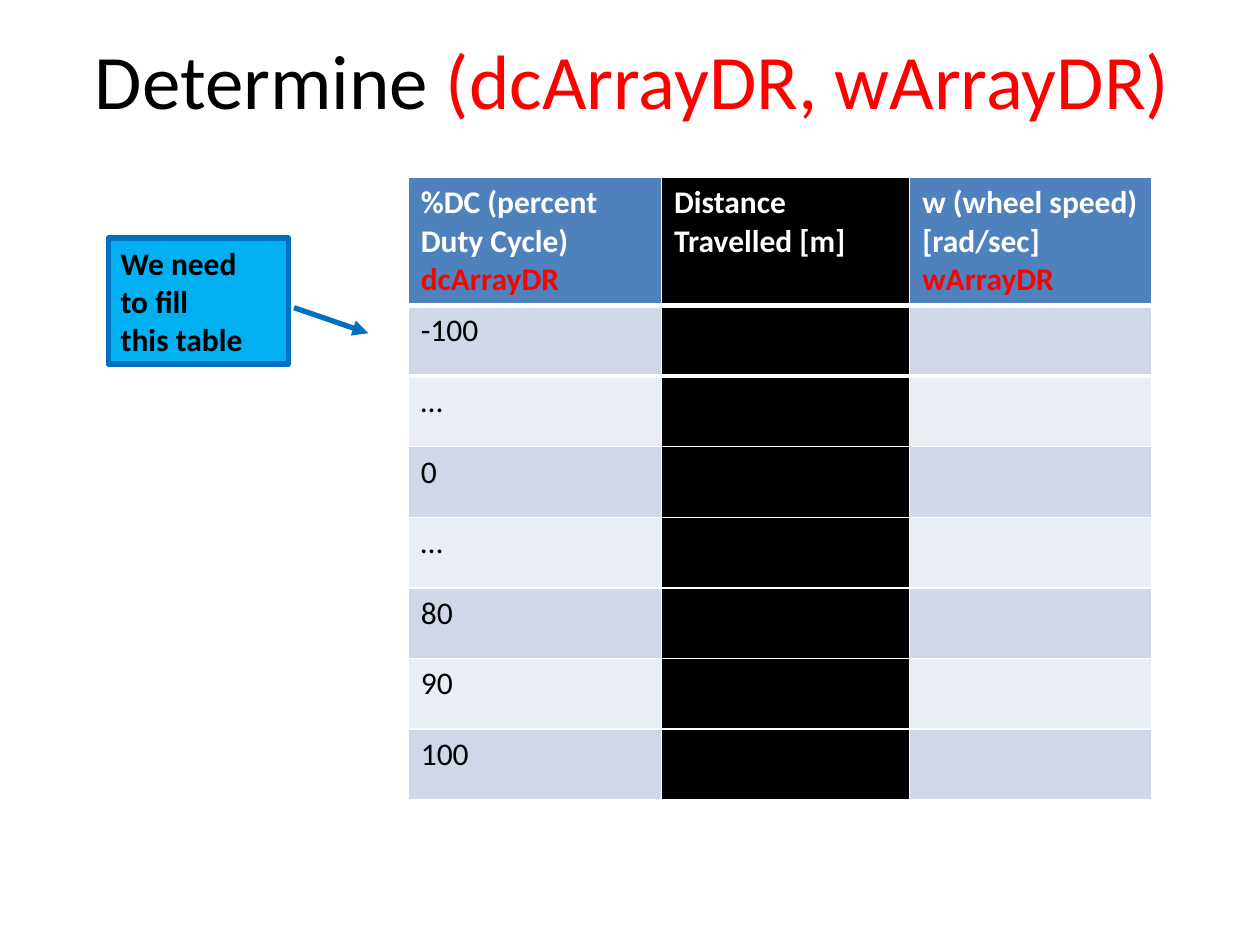
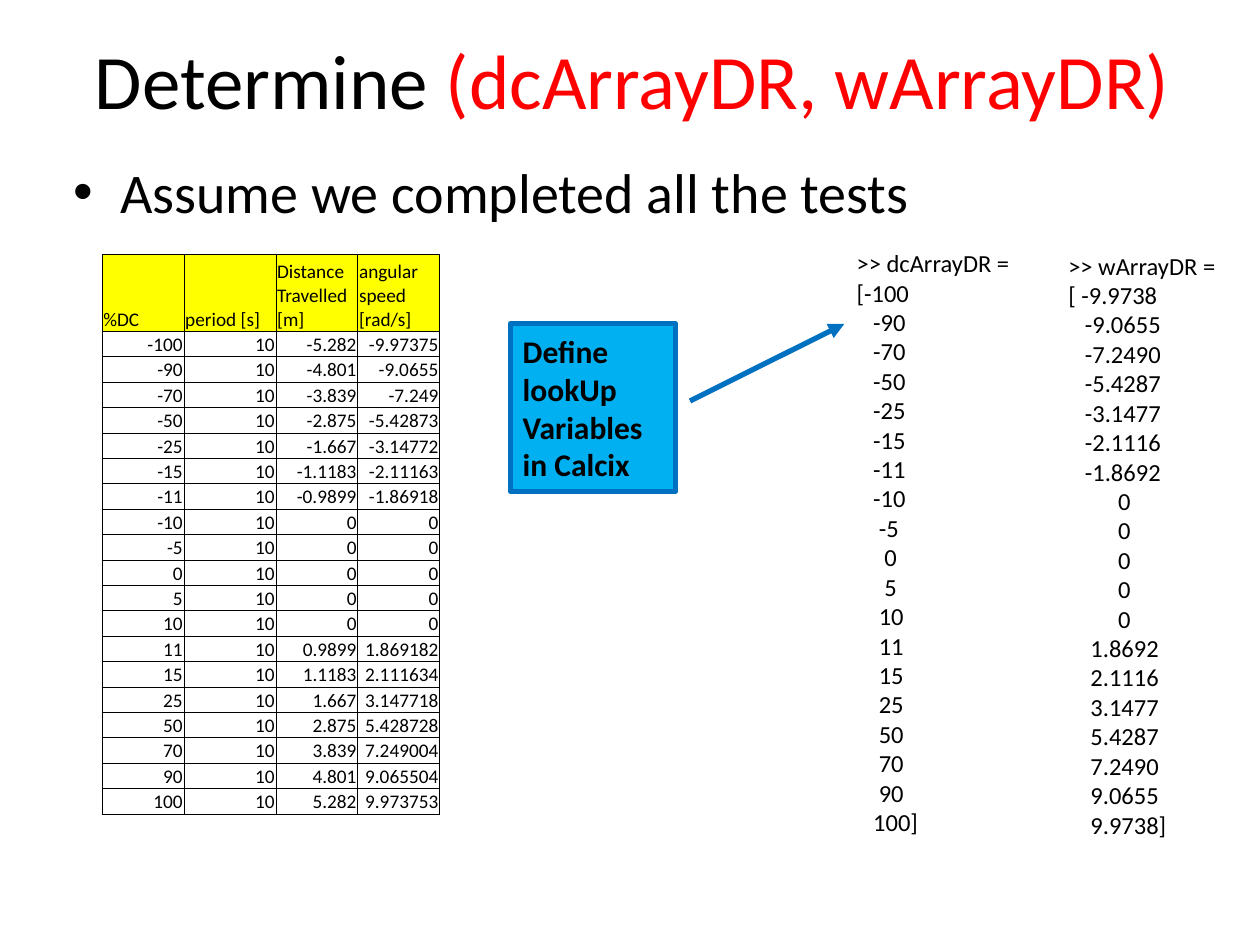
"""Build two slides on finding the duty cycle and wheel speed lookup arrays."""
from lxml import etree
from pptx import Presentation
from pptx.dml.color import RGBColor
from pptx.enum.shapes import MSO_SHAPE
from pptx.enum.text import MSO_ANCHOR, PP_ALIGN
from pptx.oxml.ns import qn
from pptx.util import Inches, Pt

CALLOUT = MSO_SHAPE.LINE_CALLOUT_1
MIDDLE, BOTTOM = MSO_ANCHOR.MIDDLE, MSO_ANCHOR.BOTTOM
LEFT, CENTER, RIGHT = PP_ALIGN.LEFT, PP_ALIGN.CENTER, PP_ALIGN.RIGHT
TITLE_AND_CONTENT, TITLE_ONLY = 1, 5

FONT = "Calibri"
SPACE_WIDTH = 0.044
COLORS = {
    "black": "000000", "white": "FFFFFF", "red": "FF0000",
    "header": "4F81BD", "band_dark": "D0D8E8", "band_light": "E9EDF4",
    "yellow": "FFFF00", "callout": "00B0F0", "callout_line": "0070C0",
}

TITLE = [("Determine ", "black"), ("(dcArrayDR, wArrayDR)", "red")]
PLAN_HEADER = [
    [("%DC (percent Duty Cycle) ", "white"), ("dcArrayDR", "red")],
    [("Distance Travelled [m]", "white")],
    [("w (wheel speed) [rad/sec] ", "white"), ("wArrayDR", "red")],
]
PLAN_DUTY_CYCLES = ["-100", "…", "0", "…", "80", "90", "100"]

PERIOD = "10"
TEST_HEADER = ["%DC", "period [s]", "Distance Travelled [m]", "angular speed [rad/s]"]
TESTS = [
    ("-100", "-5.282", "-9.97375"), ("-90", "-4.801", "-9.0655"),
    ("-70", "-3.839", "-7.249"), ("-50", "-2.875", "-5.42873"),
    ("-25", "-1.667", "-3.14772"), ("-15", "-1.1183", "-2.11163"),
    ("-11", "-0.9899", "-1.86918"), ("-10", "0", "0"), ("-5", "0", "0"),
    ("0", "0", "0"), ("5", "0", "0"), ("10", "0", "0"),
    ("11", "0.9899", "1.869182"), ("15", "1.1183", "2.111634"),
    ("25", "1.667", "3.147718"), ("50", "2.875", "5.428728"),
    ("70", "3.839", "7.249004"), ("90", "4.801", "9.065504"),
    ("100", "5.282", "9.973753"),
]
SPEEDS = ["1.8692", "2.1116", "3.1477", "5.4287", "7.2490", "9.0655", "9.9738"]


def rgb(name):
    return RGBColor.from_string(COLORS[name])


def write(p, parts, size, bold=False, align=LEFT):
    p.alignment = align
    for text, color in parts:
        r = p.add_run()
        r.text = text
        r.font.name = FONT
        r.font.size = Pt(size)
        r.font.bold = bold
        r.font.color.rgb = rgb(color)


def write_lines(tf, lines, size, bold=False):
    for i, line in enumerate(lines):
        p = tf.paragraphs[0] if i == 0 else tf.add_paragraph()
        write(p, [(line, "black")], size, bold)


def place(sp, left, top, width, height):
    sp.left, sp.top = Inches(left), Inches(top)
    sp.width, sp.height = Inches(width), Inches(height)


def add_slide(prs, layout):
    slide = prs.slides.add_slide(prs.slide_layouts[layout])
    title = slide.shapes.title
    place(title, 0.52, 0, 9, 1.25)
    title.text_frame.vertical_anchor = MIDDLE
    write(title.text_frame.paragraphs[0], TITLE, 44, align=CENTER)
    return slide


def add_callout(slide, box, pointer, lines):
    sp = slide.shapes.add_shape(CALLOUT, *map(Inches, box))
    for i, value in enumerate(pointer):
        sp.adjustments[i] = value
    sp.shadow.inherit = False
    sp.fill.solid()
    sp.fill.fore_color.rgb = rgb("callout")
    sp.line.color.rgb = rgb("callout_line")
    sp.line.width = Pt(3)
    etree.SubElement(sp.line._get_or_add_ln(), qn("a:tailEnd"), type="triangle")
    tf = sp.text_frame
    tf.word_wrap = True
    tf.vertical_anchor = MIDDLE
    write_lines(tf, lines, 18, bold=True)


def add_table(slide, left, top, widths, heights):
    frame = slide.shapes.add_table(
        len(heights), len(widths), Inches(left), Inches(top),
        Inches(sum(widths)), Inches(sum(heights)))
    table = frame.table
    for column, width in zip(table.columns, widths):
        column.width = Inches(width)
    for row, height in zip(table.rows, heights):
        row.height = Inches(height)
    return table


def fill_cell(cell, color):
    cell.fill.solid()
    cell.fill.fore_color.rgb = rgb(color)


def border_cell(cell, color, width, sides="LRTB"):
    tc_pr = cell._tc.get_or_add_tcPr()
    for i, side in enumerate(sides):
        ln = etree.Element(qn("a:ln" + side), w=str(Pt(width)))
        fill = etree.SubElement(ln, qn("a:solidFill"))
        etree.SubElement(fill, qn("a:srgbClr"), val=COLORS[color])
        tc_pr.insert(i, ln)


def add_plan_table(slide):
    table = add_table(slide, 3.24, 1.41, [2.01, 1.97, 1.92], [0.56] * 8)
    for col, parts in enumerate(PLAN_HEADER):
        write(table.cell(0, col).text_frame.paragraphs[0], parts, 18, bold=True)
        border_cell(table.cell(0, col), "white", 3, "B")
        border_cell(table.cell(1, col), "white", 3, "T")
    for row, value in enumerate(PLAN_DUTY_CYCLES, 1):
        write(table.cell(row, 0).text_frame.paragraphs[0], [(value, "black")], 18)
    for row in range(8):
        band = "header" if row == 0 else "band_dark" if row % 2 else "band_light"
        for col, color in enumerate((band, "black", band)):
            fill_cell(table.cell(row, col), color)


def add_test_table(slide):
    rows = [TEST_HEADER] + [(dc, PERIOD, dist, w) for dc, dist, w in TESTS]
    heights = [0.61] + [(4.44 - 0.61) / len(TESTS)] * len(TESTS)
    table = add_table(slide, 0.81, 2.02, [0.65, 0.73, 0.65, 0.65], heights)
    table.first_row = table.horz_banding = False
    for i, values in enumerate(rows):
        for j, value in enumerate(values):
            cell = table.cell(i, j)
            cell.margin_left = cell.margin_right = cell.margin_top = Inches(0.01)
            cell.margin_bottom = 0
            cell.vertical_anchor = BOTTOM
            write(cell.text_frame.paragraphs[0], [(value, "black")], 11,
                  align=RIGHT if i else LEFT)
            if i:
                cell.fill.background()
            else:
                fill_cell(cell, "yellow")
            border_cell(cell, "black", 0.5)


def add_array(slide, box, name, opening, values, digits):
    tf = slide.shapes.add_textbox(*map(Inches, box)).text_frame
    tf.word_wrap = True
    first, *middle, last = values
    lines = [f">> {name} =", opening + first, *middle, last + "]"]
    write_lines(tf, lines, 14)
    for p, value in zip(tf.paragraphs[2:], values[1:]):
        indent = Inches(SPACE_WIDTH * (digits - len(value)))
        p._p.get_or_add_pPr().set("marL", str(indent))


def build_plan_slide(prs):
    slide = add_slide(prs, TITLE_ONLY)
    add_plan_table(slide)
    add_callout(slide, (0.86, 1.89, 1.43, 1), (0.552, 1.031, 0.755, 1.443),
                ["We need", "to fill", "this table"])


def build_results_slide(prs):
    slide = add_slide(prs, TITLE_AND_CONTENT)
    body = slide.placeholders[1]
    place(body, 0.48, 1.2, 9.17, 4.95)
    write(body.text_frame.paragraphs[0],
          [("Assume we completed all the tests", "black")], 32)
    add_test_table(slide)
    duty_cycles = [test[0] for test in TESTS]
    speeds = ["-" + s for s in reversed(SPEEDS)] + ["0"] * 5 + SPEEDS
    add_array(slide, (6.7, 1.92, 1.59, 4.81), "dcArrayDR", "[", duty_cycles, 6)
    add_array(slide, (8.38, 1.94, 1.38, 4.81), "wArrayDR", "[ ", speeds, 10)
    add_callout(slide, (4.05, 2.57, 1.31, 1.33), (0.461, 1.089, 0.001, 2.024),
                ["Define", "lookUp", "Variables", "in Calcix"])


def main():
    prs = Presentation()
    prs.slide_width, prs.slide_height = Inches(10), Inches(7.5)
    build_plan_slide(prs)
    build_results_slide(prs)
    prs.save("out.pptx")


main()
